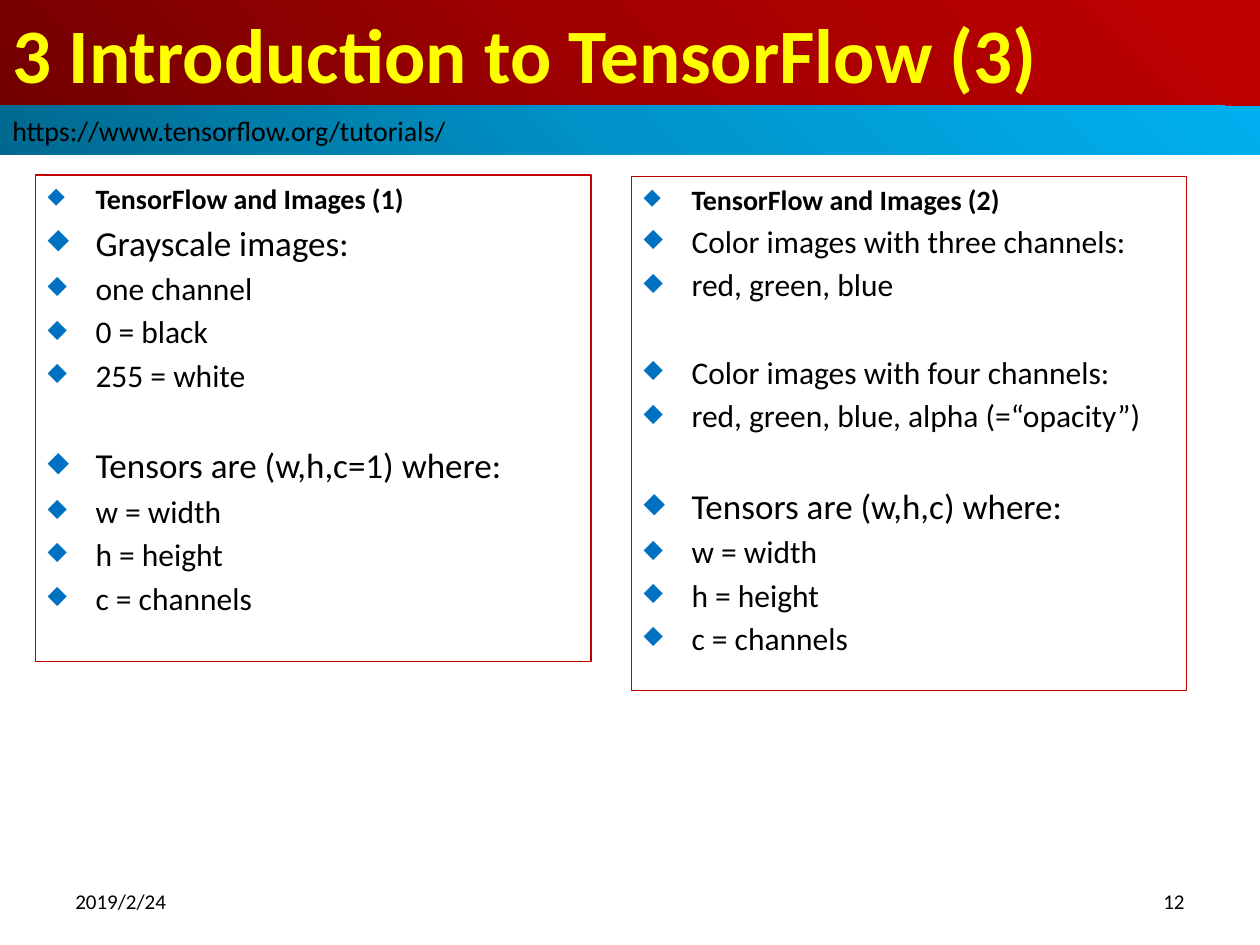
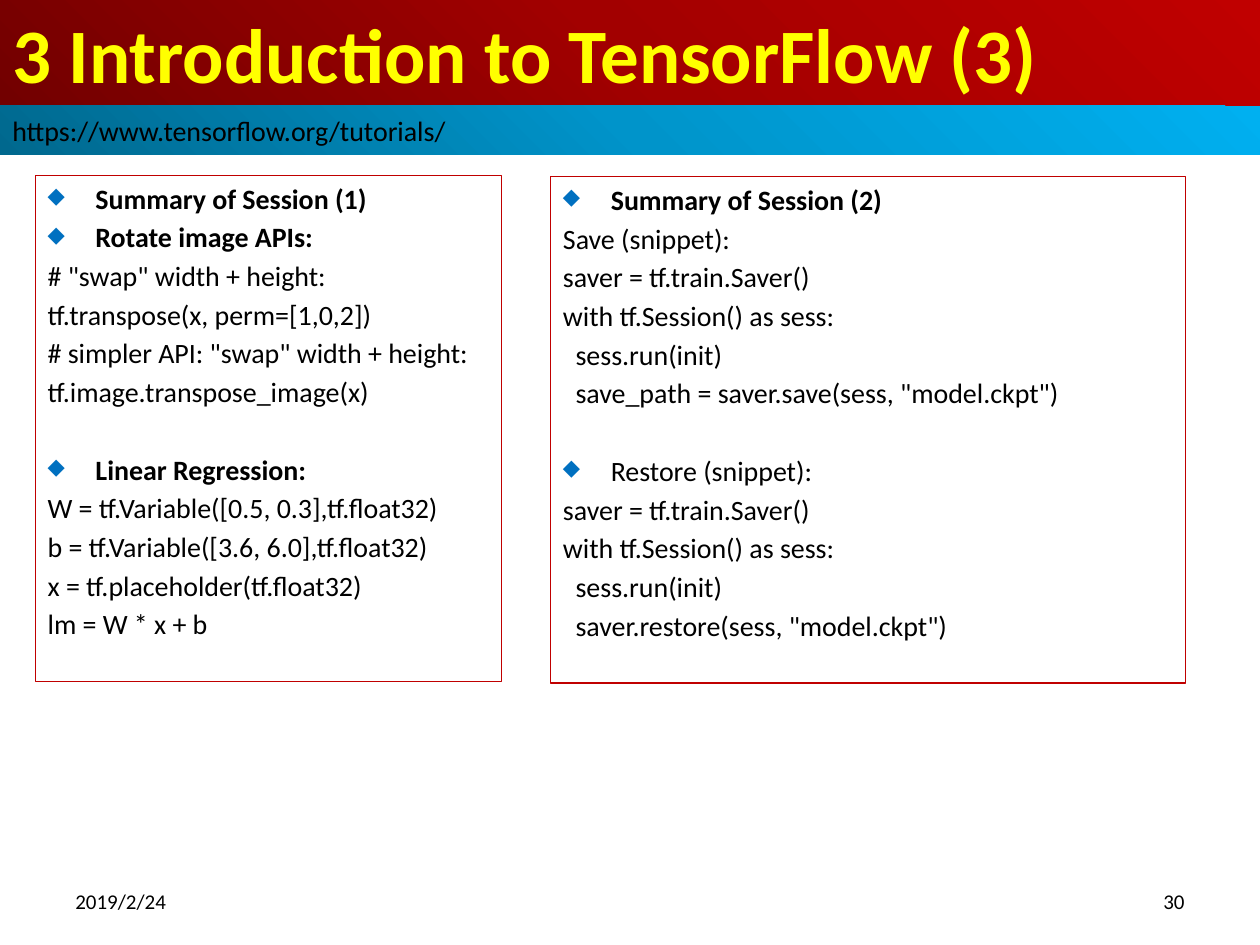
from typing import NamedTuple

from lxml import etree
from pptx import Presentation
from pptx.dml.color import RGBColor
from pptx.enum.shapes import MSO_SHAPE
from pptx.enum.text import MSO_ANCHOR, PP_ALIGN
from pptx.oxml import parse_xml
from pptx.oxml.ns import nsdecls, qn
from pptx.util import Inches, Pt

RECTANGLE = MSO_SHAPE.RECTANGLE
TOP, MIDDLE = MSO_ANCHOR.TOP, MSO_ANCHOR.MIDDLE
LEFT, RIGHT = PP_ALIGN.LEFT, PP_ALIGN.RIGHT

# The page is a grid of 100 columns and 75 rows
COLUMNS, ROWS = 100, 75
CELL = Inches(0.1)

FONT = "Calibri"
BLACK, YELLOW, RED, BLUE = "000000", "FFFF00", "C00000", "0070C0"
TITLE_GRADIENT = ("720000", "A20000", "C00000")
LINK_GRADIENT = ("00688E", "0094CA", "00B0F0")
TITLE_ROWS, LINK_ROWS = 8.4, 3.9
FOOTER = {"top": 69.5, "width": 23.3, "height": 4}
FOOTER_MARGIN = 5

TITLE = "3 Introduction to TensorFlow (3)"
LINK = "https://www.tensorflow.org/tutorials/"
DATE = "2019/2/24"

BULLET_INDENT = Inches(0.38)
CODE_INDENT = Inches(0.1)
SPACE_SHARE = 0.18   # space above a line, as a share of its size
BLANK_SHARE = 1.4    # height of a skipped line, as a share of its size


class Line(NamedTuple):
    text: str
    size: int = 16
    bold: bool = False
    bullet: bool = True
    level: int = 0
    skipped: int = 0  # size of the line left free above


def heading(text, skipped=0):
    return Line(text, bold=True, skipped=skipped)


def point(text, size=18, skipped=0):
    return Line(text, size, skipped=skipped)


def code(text, level=0):
    return Line(text, bullet=False, level=level)


TENSOR_PARTS = [point("w = width"), point("h = height"), point("c = channels")]
SESSION_START = [
    code("saver = tf.train.Saver()"),
    code("with tf.Session() as sess:"),
    code("sess.run(init)", 1),
]

GRAYSCALE = [
    heading("TensorFlow and Images (1)"),
    point("Grayscale images:", 20),
    point("one channel"),
    point("0 = black"),
    point("255 = white"),
    point("Tensors are (w,h,c=1) where:", 20, skipped=18),
    *TENSOR_PARTS,
]
COLOR = [
    heading("TensorFlow and Images (2)"),
    point("Color images with three channels:"),
    point("red, green, blue"),
    point("Color images with four channels:", skipped=18),
    point("red, green, blue, alpha (=“opacity”)"),
    point("Tensors are (w,h,c) where:", 20, skipped=18),
    *TENSOR_PARTS,
]
ROTATE_AND_REGRESSION = [
    heading("Summary of Session (1)"),
    heading("Rotate image APIs:"),
    code('# "swap" width + height:'),
    code("tf.transpose(x, perm=[1,0,2])"),
    code('# simpler API: "swap" width + height:'),
    code("tf.image.transpose_image(x)"),
    heading("Linear Regression:", skipped=16),
    code("W = tf.Variable([0.5, 0.3],tf.float32)"),
    code("b = tf.Variable([3.6, 6.0],tf.float32)"),
    code("x = tf.placeholder(tf.float32)"),
    code("lm = W * x + b"),
]
SAVE_AND_RESTORE = [
    heading("Summary of Session (2)"),
    code("Save (snippet):"),
    *SESSION_START,
    code('save_path = saver.save(sess, "model.ckpt")', 1),
    point("Restore (snippet):", 16, skipped=16),
    *SESSION_START,
    code('saver.restore(sess, "model.ckpt")', 1),
]

# Page number, then panels as (left, top, width, height, lines)
PAGES = [
    ("12", [(2.8, 13.9, 44.1, 38.6, GRAYSCALE),
            (50.1, 14, 44.1, 40.8, COLOR)]),
    ("30", [(2.8, 13.9, 37, 40.2, ROTATE_AND_REGRESSION),
            (43.7, 14, 50.4, 40.2, SAVE_AND_RESTORE)]),
]


def color(value):
    return RGBColor.from_string(value)


def cells(*counts):
    return [int(count * CELL) for count in counts]


def format_text(para, size, text_color=BLACK, bold=False):
    for span in para.runs:
        span.font.name = FONT
        span.font.size = Pt(size)
        span.font.bold = bold
        span.font.color.rgb = color(text_color)


def prepare_frame(box, anchor):
    frame = box.text_frame
    frame.word_wrap = True
    frame.vertical_anchor = anchor
    return frame


def add_rectangle(page, left, top, width, height):
    box = page.shapes.add_shape(RECTANGLE, *cells(left, top, width, height))
    box.shadow.inherit = False
    box.fill.background()
    return box


def fill_from_corner(box, stops):
    """Spread a round gradient from the lower left corner."""
    stop_list = "".join(
        f'<a:gs pos="{index * 50000}"><a:srgbClr val="{stop}"/></a:gs>'
        for index, stop in enumerate(stops))
    gradient = parse_xml(
        f'<a:gradFill {nsdecls("a")} rotWithShape="1"><a:gsLst>{stop_list}</a:gsLst>'
        '<a:path path="circle"><a:fillToRect t="100000" r="100000"/></a:path>'
        '</a:gradFill>')
    properties = box._element.spPr
    properties.replace(properties.find(qn("a:noFill")), gradient)


def add_band(page, top, height, stops, text, size, text_color=BLACK, bold=False):
    box = add_rectangle(page, 0, top, COLUMNS, height)
    fill_from_corner(box, stops)
    box.line.fill.background()
    para = prepare_frame(box, MIDDLE).paragraphs[0]
    para.text = text
    para.alignment = LEFT
    format_text(para, size, text_color, bold)


def add_footer(page, left, text, alignment):
    box = page.shapes.add_textbox(
        *cells(left, FOOTER["top"], FOOTER["width"], FOOTER["height"]))
    para = prepare_frame(box, MIDDLE).paragraphs[0]
    para.text = text
    para.alignment = alignment
    format_text(para, 12)


def add_bullet(para):
    properties = para._p.get_or_add_pPr()
    properties.set("marL", str(BULLET_INDENT))
    properties.set("indent", str(-BULLET_INDENT))
    bullet_color = etree.SubElement(properties, qn("a:buClr"))
    etree.SubElement(bullet_color, qn("a:srgbClr"), val=BLUE)
    etree.SubElement(properties, qn("a:buSzPct"), val="80000")
    etree.SubElement(properties, qn("a:buChar"), char="◆")


def add_panel(page, left, top, width, height, lines):
    box = add_rectangle(page, left, top, width, height)
    box.line.color.rgb = color(RED)
    box.line.width = Pt(0.75)
    frame = prepare_frame(box, TOP)
    for index, line in enumerate(lines):
        para = frame.add_paragraph() if index else frame.paragraphs[0]
        para.text = line.text
        para.alignment = LEFT
        para.space_before = Pt(line.size * SPACE_SHARE + line.skipped * BLANK_SHARE)
        if line.bullet:
            add_bullet(para)
        elif line.level:
            para._p.get_or_add_pPr().set("marL", str(line.level * CODE_INDENT))
        format_text(para, line.size, bold=line.bold)


def add_page(deck, number, panels):
    page = deck.slides.add_slide(deck.slide_layouts[6])
    add_band(page, 0, TITLE_ROWS, TITLE_GRADIENT, TITLE, 44, YELLOW, True)
    add_band(page, TITLE_ROWS, LINK_ROWS, LINK_GRADIENT, LINK, 16)
    for panel in panels:
        add_panel(page, *panel)
    add_footer(page, FOOTER_MARGIN, DATE, LEFT)
    add_footer(page, COLUMNS - FOOTER_MARGIN - FOOTER["width"], number, RIGHT)


def main():
    deck = Presentation()
    deck.slide_width, deck.slide_height = cells(COLUMNS, ROWS)
    for number, panels in PAGES:
        add_page(deck, number, panels)
    deck.save("out.pptx")


if __name__ == "__main__":
    main()
